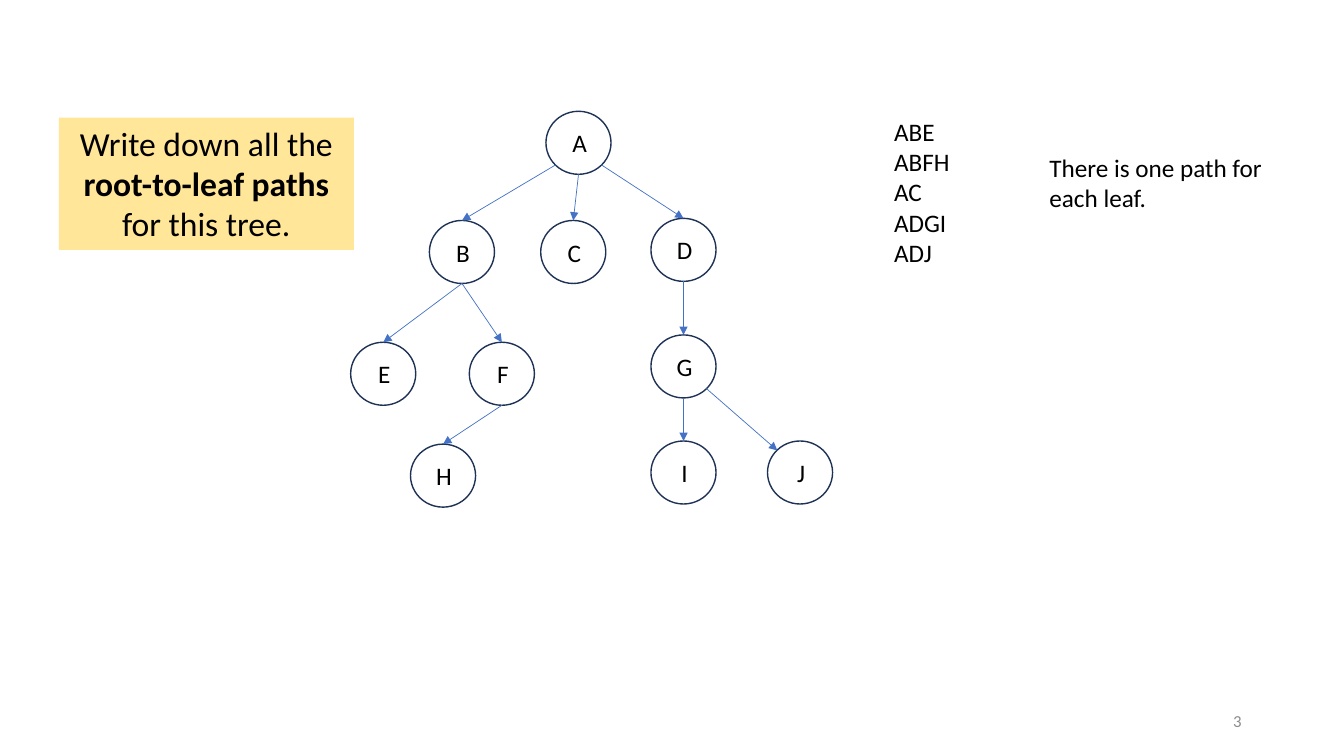
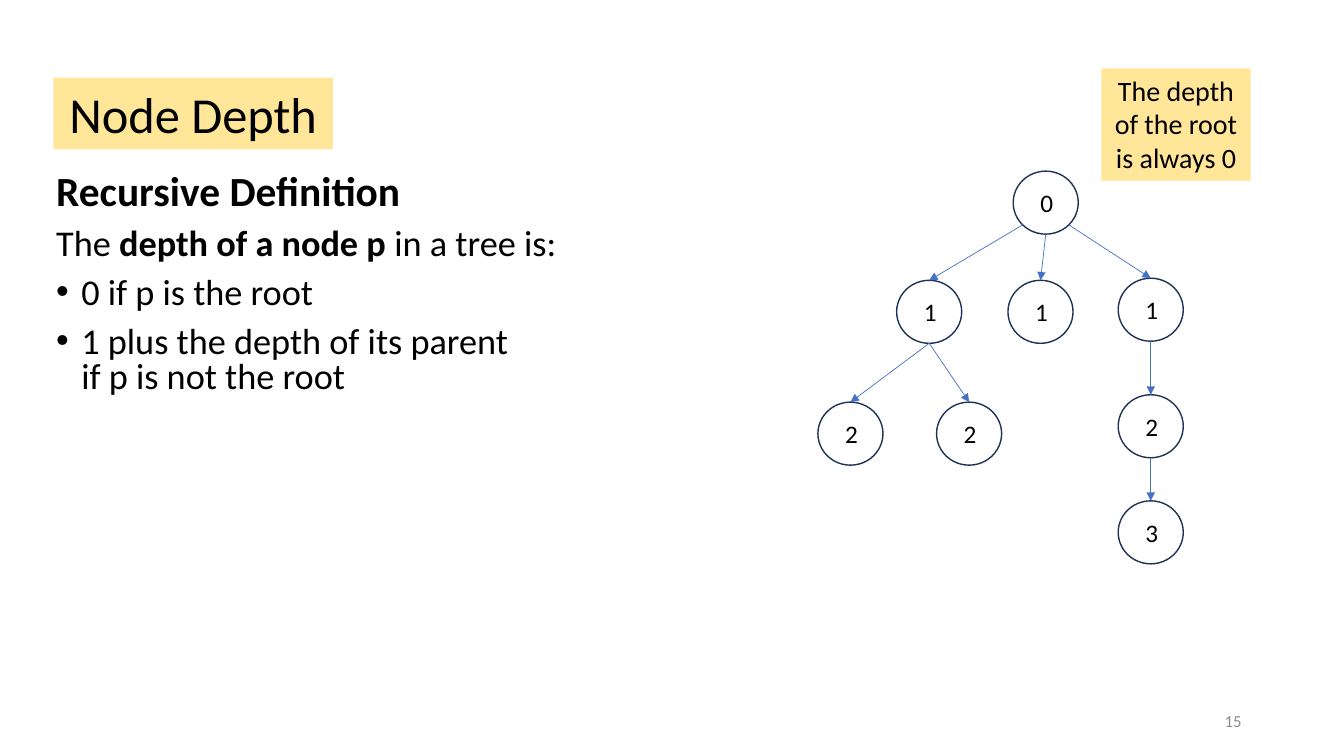
from dataclasses import dataclass
from lxml.etree import SubElement
from pptx import Presentation
from pptx.dml.color import RGBColor as Color
from pptx.enum.shapes import MSO_CONNECTOR as Connector, MSO_SHAPE as Preset
from pptx.enum.text import MSO_ANCHOR as Anchor, PP_ALIGN as Align
from pptx.oxml.ns import qn
from pptx.util import Pt


@dataclass(frozen=True)
class Theme:
    font: str = "Calibri"
    ink: Color = Color.from_string("000000")
    muted: Color = Color.from_string("8C8C8C")
    banner: Color = Color.from_string("FFE699")
    outline: Color = Color.from_string("1E3256")
    arrow: Color = Color.from_string("4472C4")
    title: float = 36
    heading: float = 29.6
    body: float = 25.9
    task: float = 24
    callout: float = 20
    label: float = 18
    footer: float = 12


theme = Theme()
PX = 9525
NODE_WIDTH, NODE_HEIGHT = 62, 60
NODES = {
    "A": (520, 106),
    "B": (409, 210), "C": (515, 210), "D": (620, 208),
    "E": (334, 326), "F": (447, 326), "G": (620, 319),
    "H": (391, 423), "I": (620, 420), "J": (731, 420),
}
NEAR, FAR = 0.15, 0.85
SITES = [(0.5, 0), (NEAR, NEAR), (0, 0.5), (NEAR, FAR),
         (0.5, 1), (FAR, FAR), (1, 0.5), (FAR, NEAR)]
TOP, TOP_LEFT, BOTTOM_LEFT, BOTTOM, BOTTOM_RIGHT = 0, 1, 3, 4, 5
EDGES = [
    ("A", "B", BOTTOM_LEFT, TOP), ("A", "C", BOTTOM, TOP),
    ("A", "D", BOTTOM_RIGHT, TOP), ("B", "E", BOTTOM, TOP),
    ("B", "F", BOTTOM, TOP), ("D", "G", BOTTOM, TOP),
    ("G", "I", BOTTOM, TOP), ("G", "J", BOTTOM_RIGHT, TOP_LEFT),
    ("F", "H", BOTTOM, TOP),
]


def write(box, runs, size, para_format, color=theme.ink, para=None):
    para = para or box.text_frame.paragraphs[0]
    for name, value in para_format.items():
        setattr(para, name, value)
    for text, bold in runs:
        for number, line in enumerate(text.split("\n")):
            if number:
                para.add_line_break()
            span = para.add_run()
            span.text = line
            font_format = {"name": theme.font, "size": Pt(size), "bold": bold}
            for name, value in font_format.items():
                setattr(span.font, name, value)
            span.font.color.rgb = color


def add_box(page, area, preset=None, fill=None, line=None, **frame_format):
    area = [length * PX for length in area]
    if preset is None:
        box = page.shapes.add_textbox(*area)
    else:
        box = page.shapes.add_shape(preset, *area)
        box.shadow.inherit = False
        if fill:
            box.fill.solid()
            box.fill.fore_color.rgb = fill
        else:
            box.fill.background()
        if line:
            box.line.color.rgb = line
            box.line.width = Pt(1)
        else:
            box.line.fill.background()
    for name, value in {"word_wrap": True, **frame_format}.items():
        setattr(box.text_frame, name, value)
    return box


deck = Presentation()
deck.slide_width, deck.slide_height = 1280 * PX, 720 * PX
paths_page, depth_page = [
    deck.slides.add_slide(deck.slide_layouts[6]) for _ in range(2)
]

trees = [
    (paths_page, 0, 0, {name: name for name in NODES}),
    (depth_page, 445, 57, dict(zip("ABCDEFGI", "01112223"))),
]
for page, shift_x, shift_y, labels in trees:
    nodes = {}
    for name, label in labels.items():
        left, top = NODES[name]
        area = (left + shift_x, top + shift_y, NODE_WIDTH, NODE_HEIGHT)
        nodes[name] = add_box(
            page, area, Preset.OVAL, line=theme.outline,
            vertical_anchor=Anchor.MIDDLE, margin_left=2 * PX,
            margin_right=0, margin_top=0, margin_bottom=0)
        write(nodes[name], [(label, False)], theme.label, {"alignment": Align.CENTER})
    for parent, child, leave, enter in EDGES:
        if child not in nodes:
            continue
        ends = [("a:stCxn", nodes[parent], leave), ("a:endCxn", nodes[child], enter)]
        points = []
        for _, node, site in ends:
            across, down = SITES[site]
            points += [node.left + round(across * node.width),
                       node.top + round(down * node.height)]
        arrow = page.shapes.add_connector(Connector.STRAIGHT, *points)
        arrow.line.color.rgb = theme.arrow
        arrow.line.width = Pt(0.5)
        SubElement(arrow.line._get_or_add_ln(), qn("a:tailEnd"), type="triangle")
        SubElement(arrow._element.spPr, qn("a:effectLst"))
        links = arrow._element.nvCxnSpPr.cNvCxnSpPr
        for tag, node, site in ends:
            SubElement(links, qn(tag), id=str(node.shape_id), idx=str(site))

banners = [
    (paths_page, (56, 112, 281, 126), theme.task,
     [("Write down all the ", False), ("root-to-leaf paths ", True),
      ("for this tree.", False)]),
    (depth_page, (51, 74, 266, 68), theme.title, [("Node Depth", False)]),
    (depth_page, (1049, 65, 142, 107), theme.callout,
     [("The depth of the root is always 0", False)]),
]
for page, area, size, runs in banners:
    banner = add_box(page, area, Preset.RECTANGLE, fill=theme.banner,
                     vertical_anchor=Anchor.TOP)
    write(banner, runs, size, {"alignment": Align.CENTER})

answers = [
    ((842, 106, 73, 156), "ABE\nABFH\nAC\nADGI\nADJ"),
    ((990, 140, 225, 68), "There is one path for\neach leaf."),
]
for area, text in answers:
    answer = add_box(paths_page, area, word_wrap=False)
    write(answer, [(text, False)], theme.label, {"alignment": Align.LEFT})

definition = add_box(depth_page, (44, 162, 538, 232))
lines = [
    (theme.heading, False, [("Recursive Definition", True)]),
    (theme.body, False, [("The ", False), ("depth of a node p ", True),
                         ("in a tree is:", False)]),
    (theme.body, True, [("0 if p is the root", False)]),
    (theme.body, True, [("1 plus the depth of its parent\nif p is not the root", False)]),
]
for number, (size, bulleted, runs) in enumerate(lines):
    frame = definition.text_frame
    para = frame.add_paragraph() if number else frame.paragraphs[0]
    if bulleted:
        properties = para._p.get_or_add_pPr()
        properties.set("marL", str(24 * PX))
        properties.set("indent", str(-24 * PX))
        SubElement(properties, qn("a:buFont"), typeface="Arial")
        SubElement(properties, qn("a:buChar"), char="•")
    para_format = {"line_spacing": 0.8, "space_before": Pt(10 if number else 0)}
    write(definition, runs, size, para_format, para=para)

for page, number in [(paths_page, "3"), (depth_page, "15")]:
    footer = add_box(page, (904, 667, 288, 38), vertical_anchor=Anchor.MIDDLE)
    write(footer, [(number, False)], theme.footer, {"alignment": Align.RIGHT}, theme.muted)

deck.save("out.pptx")
